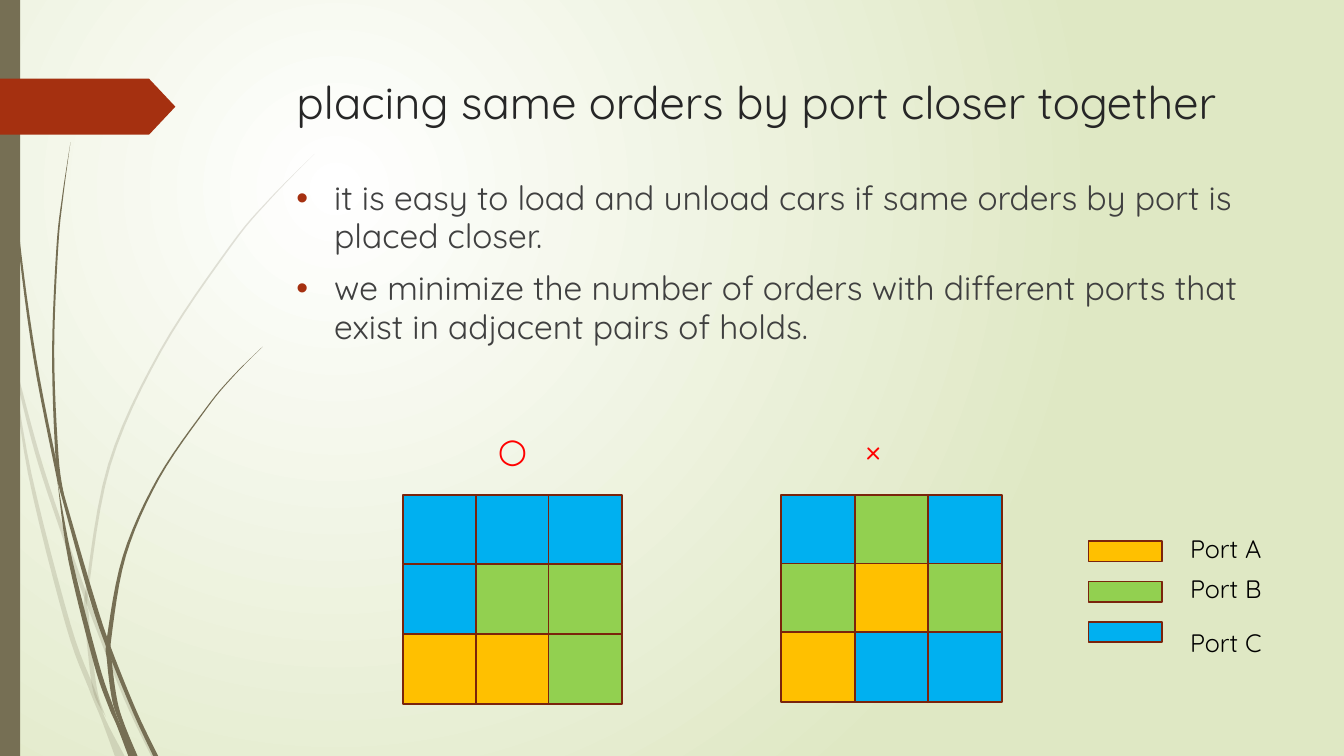
from lxml import etree
from pptx import Presentation
from pptx.dml.color import RGBColor
from pptx.enum.shapes import MSO_SHAPE
from pptx.enum.text import MSO_ANCHOR, MSO_AUTO_SIZE, PP_ALIGN
from pptx.oxml.ns import qn
from pptx.util import Pt

RECTANGLE, RIBBON = MSO_SHAPE.RECTANGLE, MSO_SHAPE.PENTAGON
TOP, MIDDLE = MSO_ANCHOR.TOP, MSO_ANCHOR.MIDDLE
LEFT, CENTER = PP_ALIGN.LEFT, PP_ALIGN.CENTER
NO_AUTOFIT = MSO_AUTO_SIZE.NONE

FONT = "Quicksand"
OLIVE, RUST, OUTLINE = "766F54", "A53010", "7A240C"
PORT_COLORS = {"A": "FFC000", "B": "92D050", "C": "00B0F0"}
BULLETS = [
    "it is easy to load and unload cars if same orders by port is placed closer.",
    "we minimize the number of orders with different ports that exist in adjacent pairs of holds.",
]
PALE_STEMS = [
    [(1, 209, 2), (7, 248, 2), (11.5, 266, 2), (26.6, 324, 3), (43.2, 375, 3),
     (62, 428, 3), (90, 499, 3), (109.8, 540, 3.6)],
    [(8, 252, 0), (21.2, 338, 2.5), (48.6, 446, 3.6), (65.5, 492, 4),
     (74, 514, 3), (85.5, 540, 7)],
    [(224.6, 110, 0), (193, 142, 1), (164.5, 176, 1.4), (114.5, 251, 1.6),
     (78.1, 332, 2), (62.3, 420.5, 2.2), (62, 439, 2.9), (64.2, 465, 3),
     (68.4, 495, 3), (75.6, 512, 0)],
]
DARK_STEMS = [
    [(2.5, 0, 0.7), (3.3, 35, 0.7), (5.4, 79, 0.8), (13, 168, 1.4),
     (24.8, 255.6, 2), (40.3, 335, 2.2), (44.6, 353, 2.2), (65.2, 425.5, 3.4),
     (77.8, 463, 3.2), (96.5, 509, 3), (111.2, 540, 3.6)],
    [(41, 343.4, 0), (50.4, 400.7, 2.9), (68.8, 473.8, 3.6), (79, 504, 3.4),
     (85, 518.4, 3), (94.7, 540, 6)],
    [(50.4, 101.5, 0), (45, 139, 0.8), (41, 176.4, 1.3), (38, 251.3, 1.5),
     (40.7, 325, 2.2), (44.6, 353, 2)],
    [(187.6, 247.7, 0), (166.3, 269, 0.8), (147.2, 292, 1), (113, 342, 1.5),
     (88.9, 397, 2.2), (78.1, 455, 3.2), (78.2, 472.3, 3.4), (82, 500.4, 3.6),
     (87.8, 518.4, 3), (96.8, 540, 3)],
]


def color(value):
    """Turn a hex string into a colour."""
    return RGBColor.from_string(value)


def paint(shape, fill, line=None):
    """Give a shape a flat fill, an optional outline and no shadow."""
    shape.shadow.inherit = False
    shape.fill.solid()
    shape.fill.fore_color.rgb = color(fill)
    if line:
        shape.line.color.rgb = color(line)
        shape.line.width = Pt(1.25)
    else:
        shape.line.fill.background()


def add_block(slide, kind, box, fill, line=None):
    """Add a painted preset shape in a box of points."""
    block = slide.shapes.add_shape(kind, *map(Pt, box))
    paint(block, fill, line)
    return block


def write(para, text, size, ink):
    """Add one formatted run to a paragraph."""
    span = para.add_run()
    span.text = text
    span.font.size = Pt(size)
    span.font.name = FONT
    span.font.color.rgb = color(ink)


def place(frame_owner, box):
    """Move a placeholder to a box and anchor its text at the top."""
    frame_owner.left, frame_owner.top, frame_owner.width, frame_owner.height = map(Pt, box)
    frame = frame_owner.text_frame
    frame.word_wrap = True
    frame.auto_size = NO_AUTOFIT
    frame.vertical_anchor = TOP
    return frame


def add_label(slide, box, text, size, ink, align=LEFT, anchor=TOP):
    """Add a single line of text in a box."""
    frame = place(slide.shapes.add_textbox(*map(Pt, box)), box)
    frame.vertical_anchor = anchor
    para = frame.paragraphs[0]
    para.alignment = align
    write(para, text, size, ink)


def paint_background(slide):
    """Fill the background with a radial gradient from white to pale green."""
    fill = slide.background.fill
    fill.gradient()
    for stop, position, value in zip(fill.gradient_stops, (0, 1), ("FFFFFF", "DFE8C4")):
        stop.position = position
        stop.color.rgb = color(value)
    gradient = next(slide.element.iter(qn("a:gradFill")))
    gradient.remove(gradient.find(qn("a:lin")))
    radial = etree.SubElement(gradient, qn("a:path"), {"path": "circle"})
    etree.SubElement(radial, qn("a:fillToRect"),
                     {"l": "50000", "t": "50000", "r": "100000", "b": "100000"})


def smooth_spine(points, steps=6):
    """Return points along a Catmull-Rom curve through the given points."""
    ends = [points[0], *points, points[-1]]
    curve = []
    for a, b, c, d in zip(ends, ends[1:], ends[2:], ends[3:]):
        for t in (step / steps for step in range(steps)):
            curve.append(tuple(
                (2 * q + (r - p) * t + (2 * p - 5 * q + 4 * r - s) * t ** 2
                 + (3 * q - p - 3 * r + s) * t ** 3) / 2
                for p, q, r, s in zip(a, b, c, d)))
    return curve + [points[-1]]


def add_stem(slide, spine, opacity):
    """Draw a grass stem from a spine of x, y and width."""
    curve = smooth_spine(spine)
    outline = [(Pt(x - w / 2), Pt(y)) for x, y, w in curve]
    outline += [(Pt(x + w / 2), Pt(y)) for x, y, w in reversed(curve)]
    builder = slide.shapes.build_freeform(*outline[0])
    builder.add_line_segments(outline[1:], close=True)
    stem = builder.convert_to_shape()
    paint(stem, OLIVE)
    if opacity < 100:
        tint = next(stem.element.spPr.iter(qn("a:srgbClr")))
        etree.SubElement(tint, qn("a:alpha"), {"val": str(opacity * 1000)})


def add_decoration(slide, height):
    """Draw the stems, the side bar and the ribbon on the left edge."""
    for stems, opacity in ((PALE_STEMS, 20), (DARK_STEMS, 100)):
        for spine in stems:
            add_stem(slide, spine, opacity)
    add_block(slide, RECTANGLE, (0, 0, 14.4, height), OLIVE)
    ribbon = add_block(slide, RIBBON, (0, 56.2, 125.3, 40), RUST)
    ribbon.adjustments[0] = 0.47


def fill_title(slide, box):
    """Write the title in its placeholder."""
    para = place(slide.shapes.title, box).paragraphs[0]
    para.alignment = LEFT
    write(para, "placing same orders by port closer together", 32.4, "262626")


def fill_body(slide, box):
    """Write the bullet list in the body placeholder."""
    frame = place(slide.placeholders[1], box)
    for index, text in enumerate(BULLETS):
        para = frame.add_paragraph() if index else frame.paragraphs[0]
        para.line_spacing = 0.95
        para.space_before = Pt(10)
        properties = para._p.get_or_add_pPr()
        properties.set("marL", str(Pt(27)))
        properties.set("indent", str(Pt(-27)))
        tint = etree.SubElement(properties, qn("a:buClr"))
        etree.SubElement(tint, qn("a:srgbClr"), {"val": RUST})
        etree.SubElement(properties, qn("a:buFont"), {"typeface": "Arial"})
        etree.SubElement(properties, qn("a:buChar"), {"char": "•"})
        write(para, text, 24, "404040")


def add_hold_grid(slide, box, rows, mark, mark_shift=0):
    """Draw a three by three grid of holds with a verdict mark above it."""
    left, top, width, height = box
    cell_width, cell_height = 52.6, 49.7
    for row, ports in enumerate(rows):
        for column, port in enumerate(ports):
            x = left + column * (width - cell_width) / 2
            y = top + row * (height - cell_height) / 2
            add_block(slide, RECTANGLE, (x, y, cell_width, cell_height),
                      PORT_COLORS[port], OUTLINE)
    add_label(slide, (left + mark_shift, top - 53, width, 40), mark, 24, "FF0000",
              CENTER, MIDDLE)


def add_legend(slide, box):
    """Draw a swatch and a label for each port."""
    left, top, width, height = box
    for index, (port, label_top) in enumerate(zip(PORT_COLORS, (0, 28.8, 67))):
        swatch = (left, top + 9.2 + index * 28.8, 52.6, 14.6)
        add_block(slide, RECTANGLE, swatch, PORT_COLORS[port], OUTLINE)
        add_label(slide, (left + 65.5, top + label_top, width - 65.5, 28.8),
                  f"Port {port}", 18, "000000")


def main():
    """Build the slide and save the deck."""
    deck = Presentation()
    deck.slide_width, deck.slide_height = Pt(960), Pt(540)
    slide = deck.slides.add_slide(deck.slide_layouts[1])
    paint_background(slide)
    add_decoration(slide, 540)
    fill_title(slide, (204.5, 49, 702, 100.8))
    fill_body(slide, (204.5, 124.6, 702, 297.4))
    add_hold_grid(slide, (288, 353.4, 156.4, 149.4), ("CCC", "CBB", "AAB"), "○")
    add_hold_grid(slide, (558, 353.4, 157.6, 147.9), ("CBC", "BAB", "ACC"), "×", -13)
    add_legend(slide, (777.6, 377.3, 160, 95.8))
    deck.save("out.pptx")


if __name__ == "__main__":
    main()
